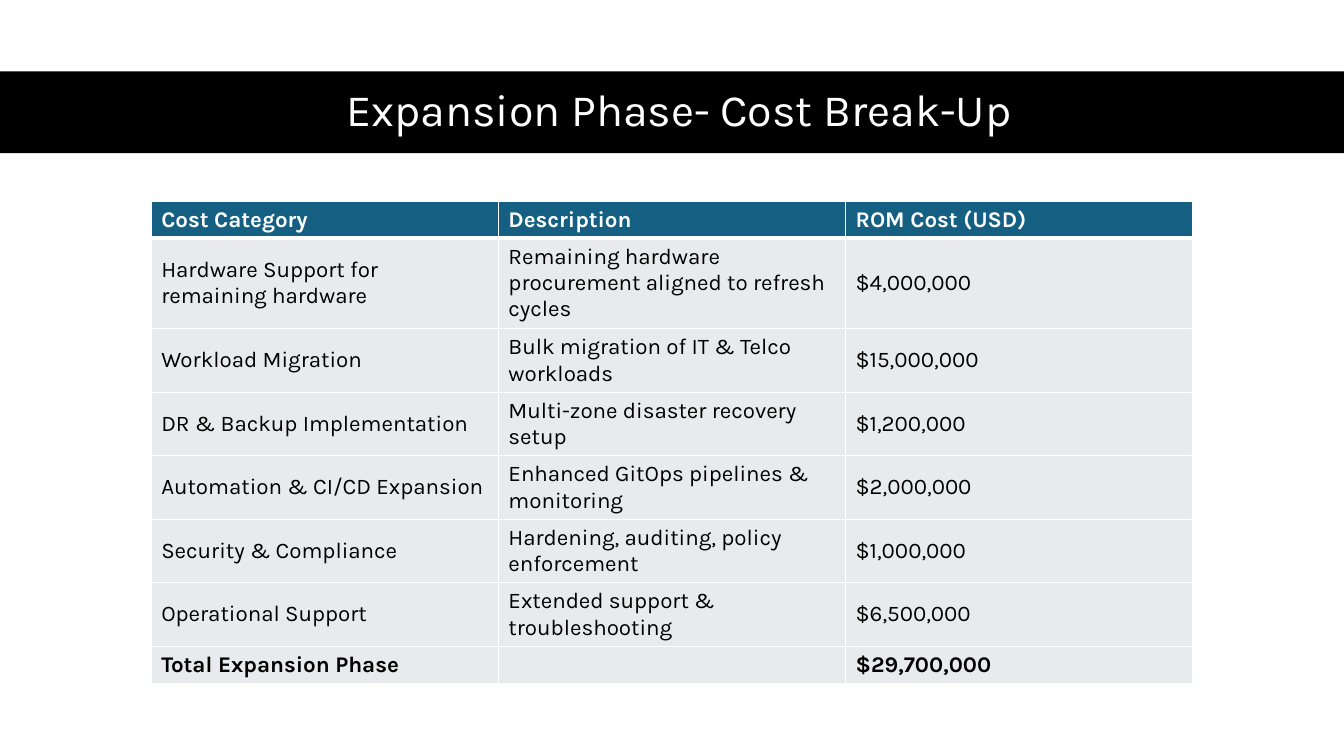
from lxml import etree
from pptx import Presentation
from pptx import util as u
from pptx.dml.color import RGBColor
from pptx.enum import shapes, text
from pptx.oxml import ns

FONT = "Karla"
WHITE, BLACK, BLUE, GREY = "FFFFFF", "000000", "156082", "E8EAED"
COL_WIDTH = 8.75
ROW_HEIGHTS = [0.91, 2.29] + [1.6] * 5 + [0.91]
ROWS = [
    ("Cost Category", "Description", "ROM Cost (USD)"),
    ("Hardware Support for remaining hardware",
     "Remaining hardware procurement aligned to refresh cycles", "$4,000,000"),
    ("Workload Migration", "Bulk migration of IT & Telco workloads", "$15,000,000"),
    ("DR & Backup Implementation", "Multi-zone disaster recovery setup", "$1,200,000"),
    ("Automation & CI/CD Expansion", "Enhanced GitOps pipelines & monitoring", "$2,000,000"),
    ("Security & Compliance", "Hardening, auditing, policy enforcement", "$1,000,000"),
    ("Operational Support", "Extended support & troubleshooting", "$6,500,000"),
    ("Total Expansion Phase", "", "$29,700,000"),
]


def paint(fmt, color):
    """Give a fill one solid colour."""
    fmt.solid()
    fmt.fore_color.rgb = RGBColor.from_string(color)


def write(tf, content, size=16, color=BLACK, bold=False, align=None, spacing=None):
    """Write one formatted paragraph into a text frame."""
    p = tf.paragraphs[0]
    p.alignment = align
    p.line_spacing = spacing
    if not content:
        etree.SubElement(p._p, ns.qn("a:endParaRPr"), sz=str(size * 100))
        return
    r = p.add_run()
    r.text = content
    r.font.name = FONT
    r.font.size = u.Pt(size)
    r.font.bold = bold
    r.font.color.rgb = RGBColor.from_string(color)


def add_borders(cell, bottom=1):
    """Draw white lines on the four sides of a cell."""
    tc_pr = cell._tc.get_or_add_tcPr()
    for side, width in (("L", 1), ("R", 1), ("T", 1), ("B", bottom)):
        ln = etree.SubElement(tc_pr, ns.qn(f"a:ln{side}"), w=str(u.Pt(width)))
        fill = etree.SubElement(ln, ns.qn("a:solidFill"))
        etree.SubElement(fill, ns.qn("a:srgbClr"), val=WHITE)


def add_title(s, content):
    """Place the title over a black band across the slide."""
    sp = s.shapes.add_shape(shapes.MSO_SHAPE.RECTANGLE, 0, u.Cm(1.8), u.Cm(33.87), u.Cm(2.06))
    sp.shadow.inherit = False
    paint(sp.fill, BLACK)
    sp.line.fill.background()
    title = s.shapes.title
    title._element.addprevious(sp._element)
    title.left, title.top, title.width, title.height = map(u.Cm, (1.55, 1.78, 31.14, 2.06))
    tf = title.text_frame
    tf.auto_size = text.MSO_AUTO_SIZE.NONE
    tf.vertical_anchor = text.MSO_ANCHOR.MIDDLE
    write(tf, content, size=32, color=WHITE, align=text.PP_ALIGN.CENTER, spacing=0.9)


def add_cost_table(s):
    """Add the cost table with its header and total rows."""
    n_rows, n_cols = len(ROWS), len(ROWS[0])
    tbl = s.shapes.add_table(n_rows, n_cols, u.Cm(3.81), u.Cm(5.08),
                             u.Cm(COL_WIDTH * n_cols), u.Cm(sum(ROW_HEIGHTS))).table
    for col in tbl.columns:
        col.width = u.Cm(COL_WIDTH)
    for i, (values, height) in enumerate(zip(ROWS, ROW_HEIGHTS)):
        tbl.rows[i].height = u.Cm(height)
        header = i == 0
        for j, value in enumerate(values):
            cell = tbl.cell(i, j)
            add_borders(cell, bottom=3 if header else 1)
            paint(cell.fill, BLUE if header else GREY)
            cell.vertical_anchor = text.MSO_ANCHOR.MIDDLE
            write(cell.text_frame, value, color=WHITE if header else BLACK,
                  bold=i in (0, n_rows - 1))


def main():
    """Build the slide and save it."""
    prs = Presentation()
    prs.slide_width, prs.slide_height = u.Cm(33.87), u.Cm(19.05)
    s = prs.slides.add_slide(prs.slide_layouts[5])
    add_title(s, "Expansion Phase- Cost Break-Up")
    add_cost_table(s)
    prs.save("out.pptx")


if __name__ == "__main__":
    main()
